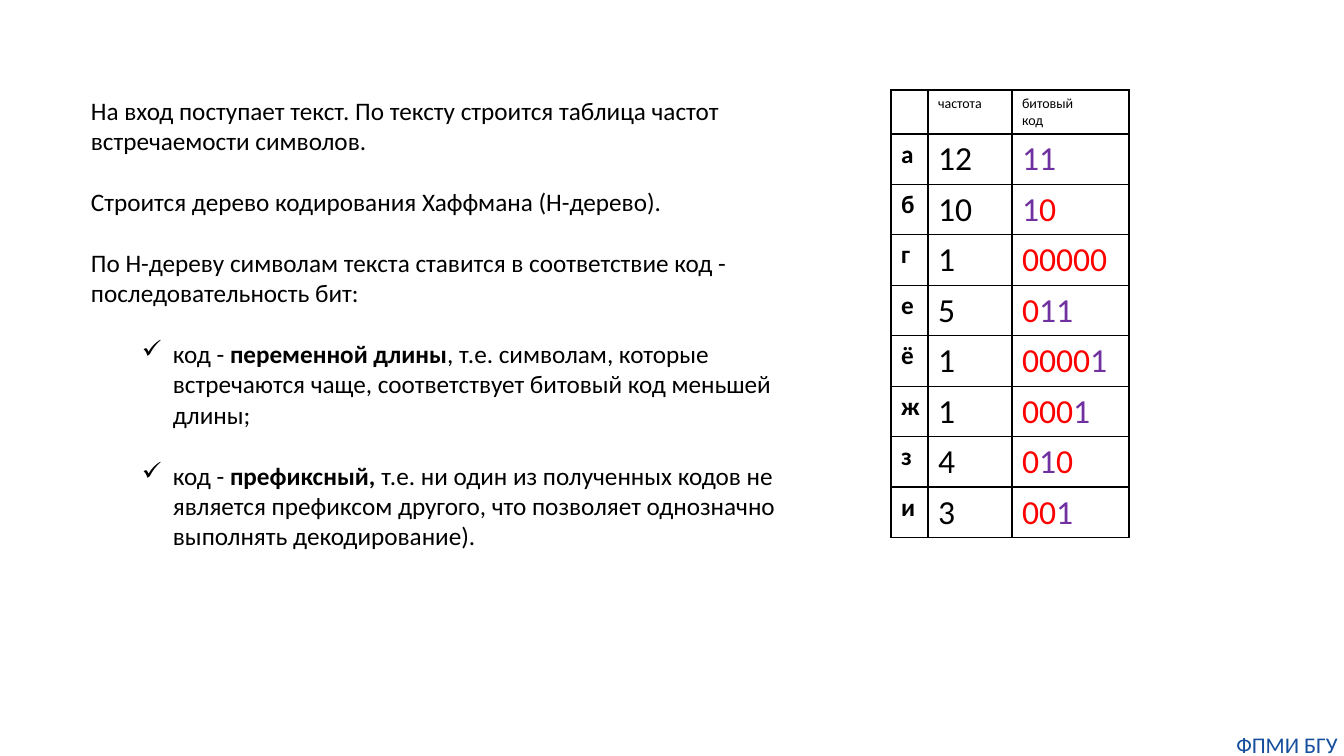
from itertools import groupby

from lxml.etree import SubElement
from pptx import Presentation
from pptx.dml.color import RGBColor
from pptx.enum.text import PP_ALIGN
from pptx.oxml.ns import qn
from pptx.util import Emu, Pt

PX = 914400 / 100.8
FONT = "Calibri"
BLACK, WHITE, BLUE = "000000", "FFFFFF", "144E9D"
BIT_COLORS = {"0": "FF0000", "1": "7030A0"}

FOOTER = "ФПМИ БГУ"
FOOTER_BOX = (1230, 731, 114, 27)
BODY_BOX = (81, 90, 745, 468)
BODY_SIZE, BODY_GAP = 18, 22
BULLET, BULLET_LEFT, BULLET_HANG = "✓", 82, 31

INTRO = [
    "На вход поступает текст. По тексту строится таблица частот встречаемости символов.",
    "Строится дерево кодирования Хаффмана (Н-дерево).",
    "По H-дереву символам текста ставится в соответствие код - последовательность бит:",
]
PROPERTIES = [
    ("код - ", "переменной длины",
     ", т.е. символам, которые встречаются чаще, соответствует битовый код меньшей длины;"),
    ("код - ", "префиксный, ",
     "т.е. ни один из полученных кодов не является префиксом другого, "
     "что позволяет однозначно выполнять декодирование)."),
]

TABLE_LEFT, TABLE_TOP = 891, 90
COL_WIDTHS = (37, 84, 117)
HEADER_HEIGHT, ROW_HEIGHT = 44, 50
HEADER = ([], ["частота"], ["битовый", "код"])
CODES = [
    ("а", 12, "11"),
    ("б", 10, "10"),
    ("г", 1, "00000"),
    ("е", 5, "011"),
    ("ё", 1, "00001"),
    ("ж", 1, "0001"),
    ("з", 4, "010"),
    ("и", 3, "001"),
]


def px(n):
    return Emu(round(n * PX))


def rgb(color):
    return RGBColor.from_string(color)


def add_run(p, text, size, color=BLACK, bold=False):
    r = p.add_run()
    r.text = text
    r.font.name = FONT
    r.font.size = Pt(size)
    r.font.bold = bold
    r.font.color.rgb = rgb(color)


def next_paragraph(tf):
    first = tf.paragraphs[0]
    return tf.add_paragraph() if first.runs else first


def add_text_box(slide, box):
    tf = slide.shapes.add_textbox(*map(px, box)).text_frame
    tf.word_wrap = True
    return tf


def set_bullet(p):
    pPr = p._p.get_or_add_pPr()
    pPr.set("marL", str(px(BULLET_LEFT)))
    pPr.set("indent", str(-px(BULLET_HANG)))
    SubElement(pPr, qn("a:buChar"), char=BULLET)


def style_cell(cell):
    tcPr = cell._tc.get_or_add_tcPr()
    for side in ("a:lnL", "a:lnR", "a:lnT", "a:lnB"):
        ln = SubElement(tcPr, qn(side), w=str(Pt(1)))
        fill = SubElement(ln, qn("a:solidFill"))
        SubElement(fill, qn("a:srgbClr"), val=BLACK)
    cell.fill.solid()
    cell.fill.fore_color.rgb = rgb(WHITE)


def add_body(slide):
    tf = add_text_box(slide, BODY_BOX)
    for text in INTRO:
        p = next_paragraph(tf)
        p.space_after = Pt(BODY_GAP)
        add_run(p, text, BODY_SIZE)
    for i, (lead, term, rest) in enumerate(PROPERTIES):
        p = next_paragraph(tf)
        p.level = 1
        p.space_before = Pt(BODY_GAP if i else 0)
        set_bullet(p)
        add_run(p, lead, BODY_SIZE)
        add_run(p, term, BODY_SIZE, bold=True)
        add_run(p, rest, BODY_SIZE)


def add_code_table(slide):
    height = HEADER_HEIGHT + ROW_HEIGHT * len(CODES)
    table = slide.shapes.add_table(
        len(CODES) + 1, len(COL_WIDTHS), px(TABLE_LEFT), px(TABLE_TOP),
        px(sum(COL_WIDTHS)), px(height)).table
    table.first_row = table.horz_banding = False
    for col, width in zip(table.columns, COL_WIDTHS):
        col.width = px(width)
    for i, row in enumerate(table.rows):
        row.height = px(ROW_HEIGHT if i else HEADER_HEIGHT)
    for cell in table.iter_cells():
        style_cell(cell)

    for c, lines in enumerate(HEADER):
        for line in lines:
            add_run(next_paragraph(table.cell(0, c).text_frame), line, 10)
    for i, (letter, count, code) in enumerate(CODES, 1):
        letter_p, count_p, code_p = (
            table.cell(i, c).text_frame.paragraphs[0] for c in range(3))
        add_run(letter_p, letter, 18, bold=True)
        add_run(count_p, str(count), 24)
        for bit, group in groupby(code):
            add_run(code_p, "".join(group), 24, BIT_COLORS[bit])


def add_footer(slide):
    tf = add_text_box(slide, FOOTER_BOX)
    tf.margin_left = tf.margin_right = tf.margin_top = tf.margin_bottom = 0
    p = tf.paragraphs[0]
    p.alignment = PP_ALIGN.CENTER
    add_run(p, FOOTER, 16, BLUE)


def main():
    prs = Presentation()
    prs.slide_width, prs.slide_height = px(1344), px(756)
    slide = prs.slides.add_slide(prs.slide_layouts[6])
    add_footer(slide)
    add_code_table(slide)
    add_body(slide)
    prs.save("out.pptx")


if __name__ == "__main__":
    main()
